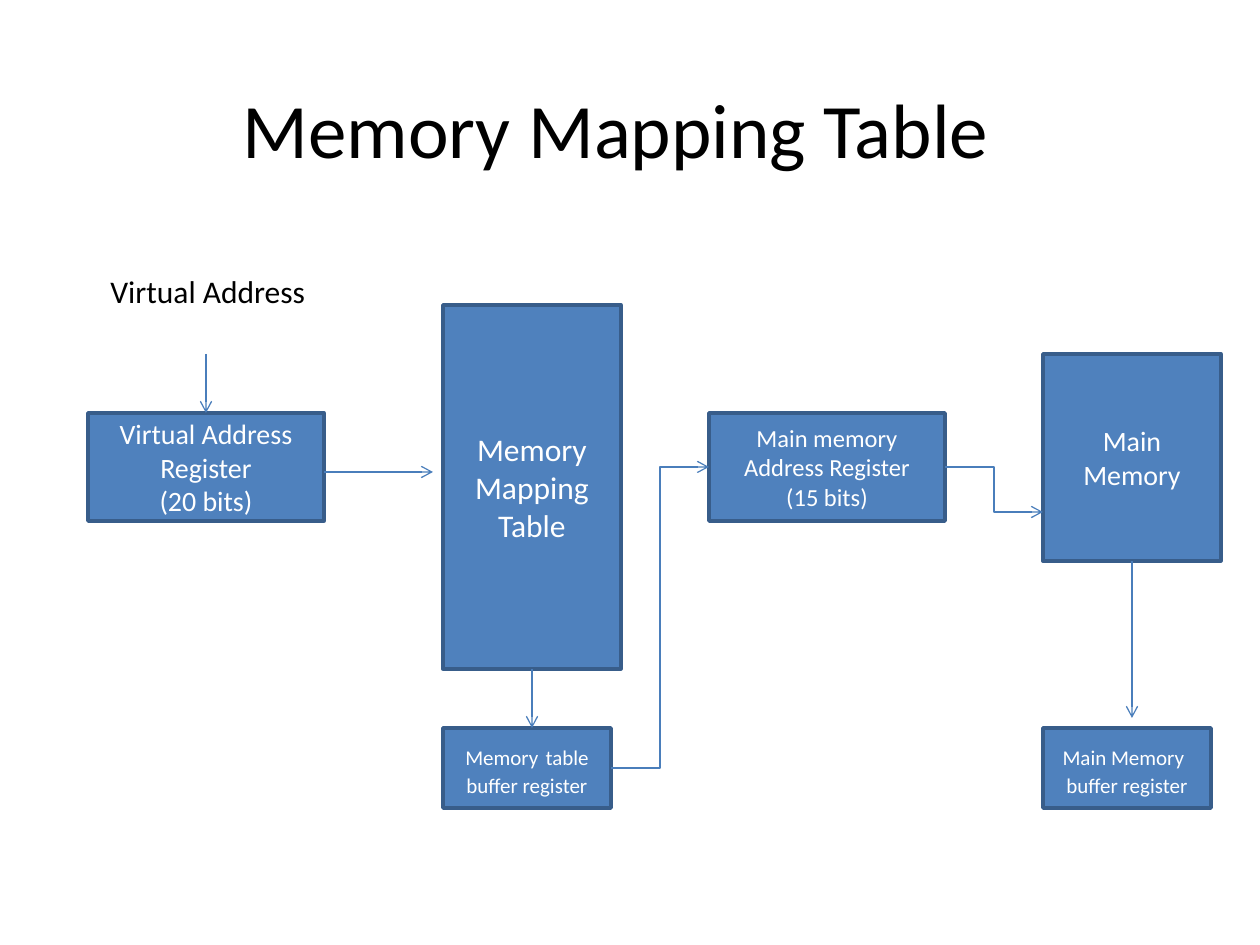
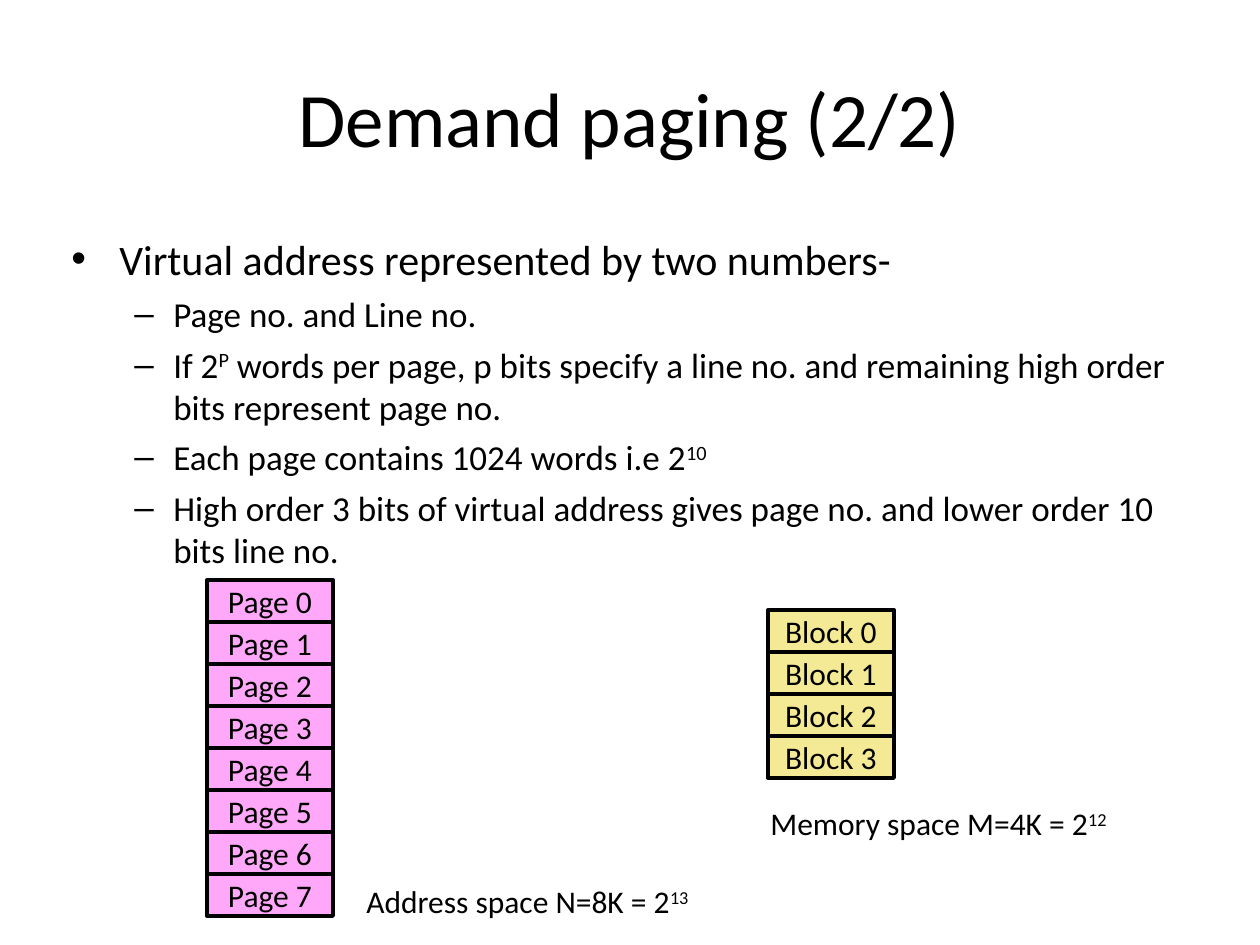
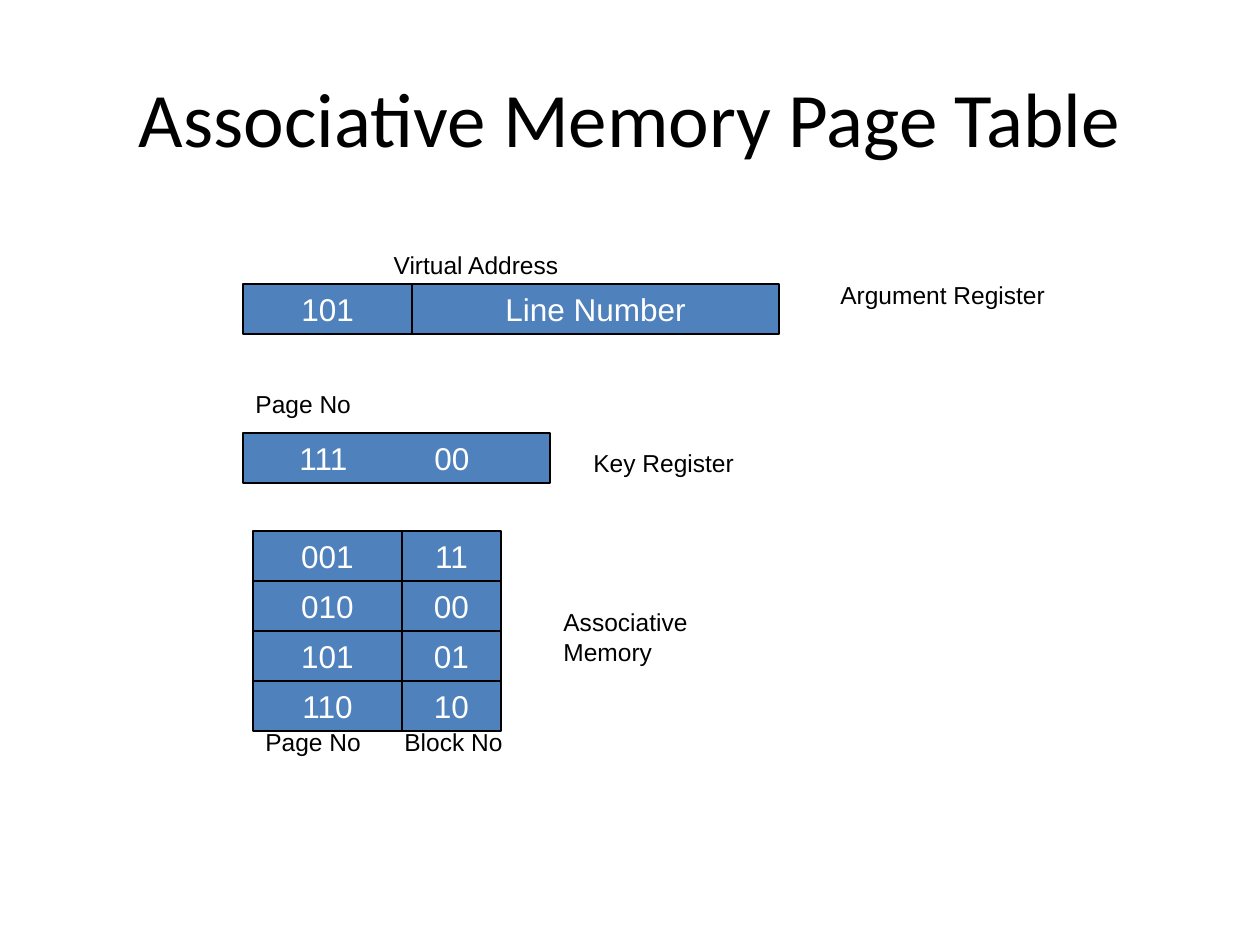
from lxml import etree
from pptx import Presentation, util as u
from pptx.dml.color import RGBColor
from pptx.enum import shapes, text
from pptx.oxml.ns import qn

SCALE = 914400 / 126
BLUE, EDGE, WIRE = "4F81BD", "385D8A", "4A7EBB"
PINK, YELLOW = "FFA7F9", "F4E994"
BLACK, WHITE = "000000", "FFFFFF"
BODY, MONO = "Calibri", "Arial"
MID, TOP = text.MSO_ANCHOR.MIDDLE, text.MSO_ANCHOR.TOP
LEFT, CENTER = text.PP_ALIGN.LEFT, text.PP_ALIGN.CENTER
LINE, ELBOW = shapes.MSO_CONNECTOR.STRAIGHT, shapes.MSO_CONNECTOR.ELBOW


def px(*vals):
    """Turn pixel lengths into EMU."""
    return [u.Emu(round(v * SCALE)) for v in vals]


def rgb(code):
    """Return the colour for a hex string."""
    return RGBColor.from_string(code)


def child(parent, tag, **attrs):
    """Append a drawing element with attributes."""
    return etree.SubElement(parent, qn(tag), attrs)


def write(par, words, size, color=BLACK, font=BODY, align=LEFT):
    """Write runs parted by |, each second one raised or, if blank, large."""
    par.alignment = align
    for i, part in enumerate(words.split("|")):
        run = par.add_run()
        run.text = part
        run.font.size = u.Pt(size)
        run.font.name = font
        run.font.color.rgb = rgb(color)
        if i % 2 and part.isspace():
            run.font.size = u.Pt(18)
        elif i % 2:
            run.font._element.set("baseline", "30000")


def page(deck, words, x=63, y=38):
    """Add a slide with its title."""
    slide = deck.slides.add_slide(deck.slide_layouts[5])
    title = slide.shapes.title
    title.left, title.top, title.width, title.height = px(x, y, 1134, 158)
    title.text_frame.vertical_anchor = MID
    write(title.text_frame.paragraphs[0], words, 44, align=CENTER)
    return slide


def box(slide, at, words, size=18, fill=BLUE, edge=EDGE, width=2,
        color=WHITE, font=BODY, anchor=MID):
    """Add a filled rectangle with one centred paragraph per line."""
    rect = slide.shapes.add_shape(shapes.MSO_SHAPE.RECTANGLE, *px(*at))
    rect.shadow.inherit = False
    rect.fill.solid()
    rect.fill.fore_color.rgb = rgb(fill)
    rect.line.color.rgb = rgb(edge)
    rect.line.width = u.Pt(width)
    frame = rect.text_frame
    frame.word_wrap = True
    frame.vertical_anchor = anchor
    for i, line in enumerate(words.split("\n")):
        par = frame.add_paragraph() if i else frame.paragraphs[0]
        write(par, line, size, color, font, CENTER)
    return rect


def label(slide, at, words, size=18, font=BODY, align=LEFT):
    """Add a plain text box."""
    frame = slide.shapes.add_textbox(*px(*at)).text_frame
    frame.word_wrap = True
    write(frame.paragraphs[0], words, size, font=font, align=align)


def arrow(slide, start, end, kind=LINE, tail=None, head=None):
    """Add an arrow, joined to (shape, site) pairs where given."""
    link = slide.shapes.add_connector(kind, *px(*start, *end))
    if tail:
        link.begin_connect(*tail)
    if head:
        link.end_connect(*head)
    link.line.color.rgb = rgb(WIRE)
    link.line.width = u.Pt(0.75)
    child(link.line._get_or_add_ln(), "a:tailEnd", type="arrow")
    child(link._element.spPr, "a:effectLst")


def points(slide, at, items):
    """Add a bulleted list of (level, words) items."""
    frame = slide.shapes.add_textbox(*px(*at)).text_frame
    frame.word_wrap = True
    looks = [("•", 48, -48, 24), ("–", 102, -39, 20)]
    for i, (level, words) in enumerate(items):
        par = frame.add_paragraph() if i else frame.paragraphs[0]
        mark, left, hang, size = looks[level]
        props = par._p.get_or_add_pPr()
        props.set("marL", str(px(left)[0]))
        props.set("indent", str(px(hang)[0]))
        child(child(props, "a:buClr"), "a:srgbClr", val=BLACK)
        child(props, "a:buFont", typeface=MONO)
        child(props, "a:buChar", char=mark)
        par.level = level
        if i:
            par.space_before = u.Pt(5)
        write(par, words, size)


def stack(slide, x, y, name, count, fill):
    """Add a column of numbered cells."""
    for i in range(count):
        box(slide, (x, y + 42 * i, 126, 42), f"{name} {i}", fill=fill,
            edge=BLACK, width=2.25, color=BLACK)


def row(slide, x, y, cells):
    """Add register cells, given as (width, words), side by side."""
    for width, words in cells:
        rect = box(slide, (x, y, width, 50), words, edge=BLACK, width=0.75,
                   font=MONO)
        x += width
    return rect


def tabs(par, *stops):
    """Set left tab stops on a left-aligned paragraph."""
    par.alignment = LEFT
    group = child(par._p.get_or_add_pPr(), "a:tabLst")
    for stop in px(*stops):
        child(group, "a:tab", pos=str(stop), algn="l")


def mapping(deck):
    """Draw the memory mapping flow."""
    slide = page(deck, "Memory Mapping Table", 49, 49)
    var = box(slide, (88, 413, 236, 108),
              "Virtual Address Register\n(20 bits)", 16)
    table = box(slide, (443, 305, 178, 364), "Memory Mapping Table")
    tbuf = box(slide, (443, 728, 168, 80),
               "Memory| |table buffer register", 12, anchor=TOP)
    mar = box(slide, (709, 413, 236, 108),
              "Main memory Address Register\n(15 bits)", 14)
    main_mem = box(slide, (1043, 354, 178, 207), "Main Memory", 16)
    box(slide, (1043, 728, 168, 80), "Main Memory| | buffer register", 12,
        anchor=TOP)
    arrow(slide, (206, 354), (206, 413), head=(var, 0))
    arrow(slide, (611, 768), (709, 467), ELBOW, (tbuf, 3), (mar, 1))
    arrow(slide, (945, 467), (1043, 512), ELBOW, (mar, 3))
    arrow(slide, (1132, 561), (1132, 718), tail=(main_mem, 2))
    arrow(slide, (532, 669), (532, 728), tail=(table, 2))
    arrow(slide, (324, 472), (433, 472))
    label(slide, (98, 266, 227, 50), "Virtual Address")


def paging(deck):
    """Draw the pages and blocks of demand paging."""
    slide = page(deck, "Demand paging (2/2)")
    points(slide, (59, 227, 1134, 624), [
        (0, "Virtual address represented by two numbers-"),
        (1, "Page no. and Line no."),
        (1, "If 2|P| words per page, p bits specify a line no. and "
            "remaining high order bits represent page no."),
        (1, "Each page contains 1024 words i.e 2|10"),
        (1, "High order 3 bits of virtual address gives page no. and "
            "lower order 10 bits line no."),
    ])
    stack(slide, 207, 580, "Page", 8, PINK)
    label(slide, (354, 876, 384, 50), "Address space N=8K = 2|13")
    stack(slide, 768, 610, "Block", 4, YELLOW)
    label(slide, (758, 798, 384, 50), "Memory space M=4K = 2|12")


def lookup(deck):
    """Draw the associative memory page table."""
    slide = page(deck, "Associative Memory Page Table")
    row(slide, 243, 284, [(169, "101"), (367, "Line Number")])
    key = row(slide, 243, 433, [(307, "\t111\t00")])
    tabs(key.text_frame.paragraphs[0], 44, 179)
    pairs = [("001", "11"), ("010", "00"), ("101", "01"), ("110", "10")]
    for i, (num, block) in enumerate(pairs):
        row(slide, 253, 531 + 50 * i, [(149, num), (99, block)])
    for at, words in [
        ((253, 721, 149, 43), "Page No"),
        ((392, 721, 189, 43), "Block No"),
        ((551, 601, 169, 72), "Associative Memory"),
        ((581, 442, 169, 43), "Key Register"),
        ((243, 383, 169, 43), "Page No"),
        ((828, 274, 277, 43), "Argument Register"),
    ]:
        label(slide, at, words, 14, MONO)
    label(slide, (233, 244, 486, 43), "Virtual Address", 14, MONO, CENTER)


def main():
    """Build and save the deck."""
    deck = Presentation()
    deck.slide_width, deck.slide_height = px(1260, 945)
    mapping(deck)
    paging(deck)
    lookup(deck)
    deck.save("out.pptx")


if __name__ == "__main__":
    main()
